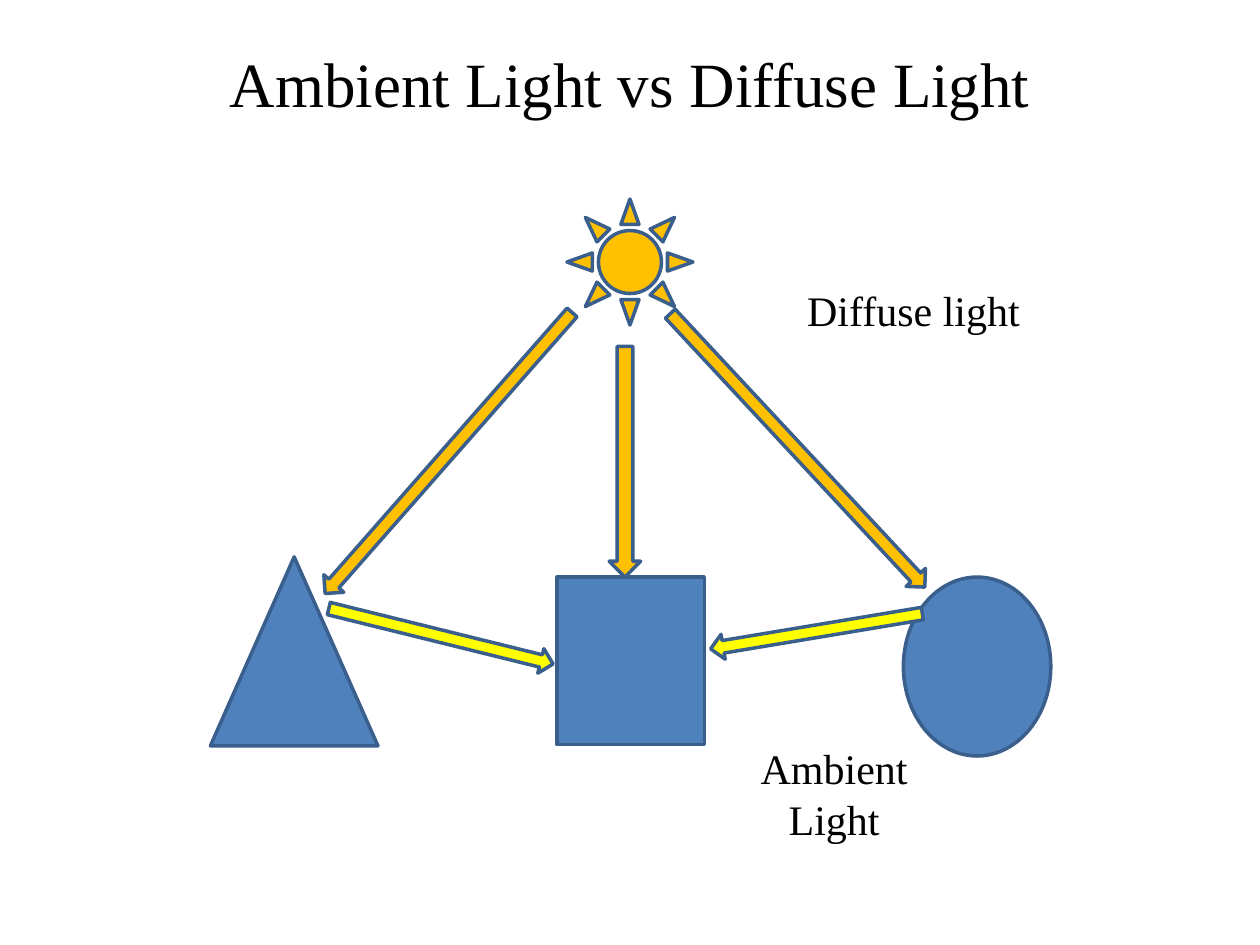
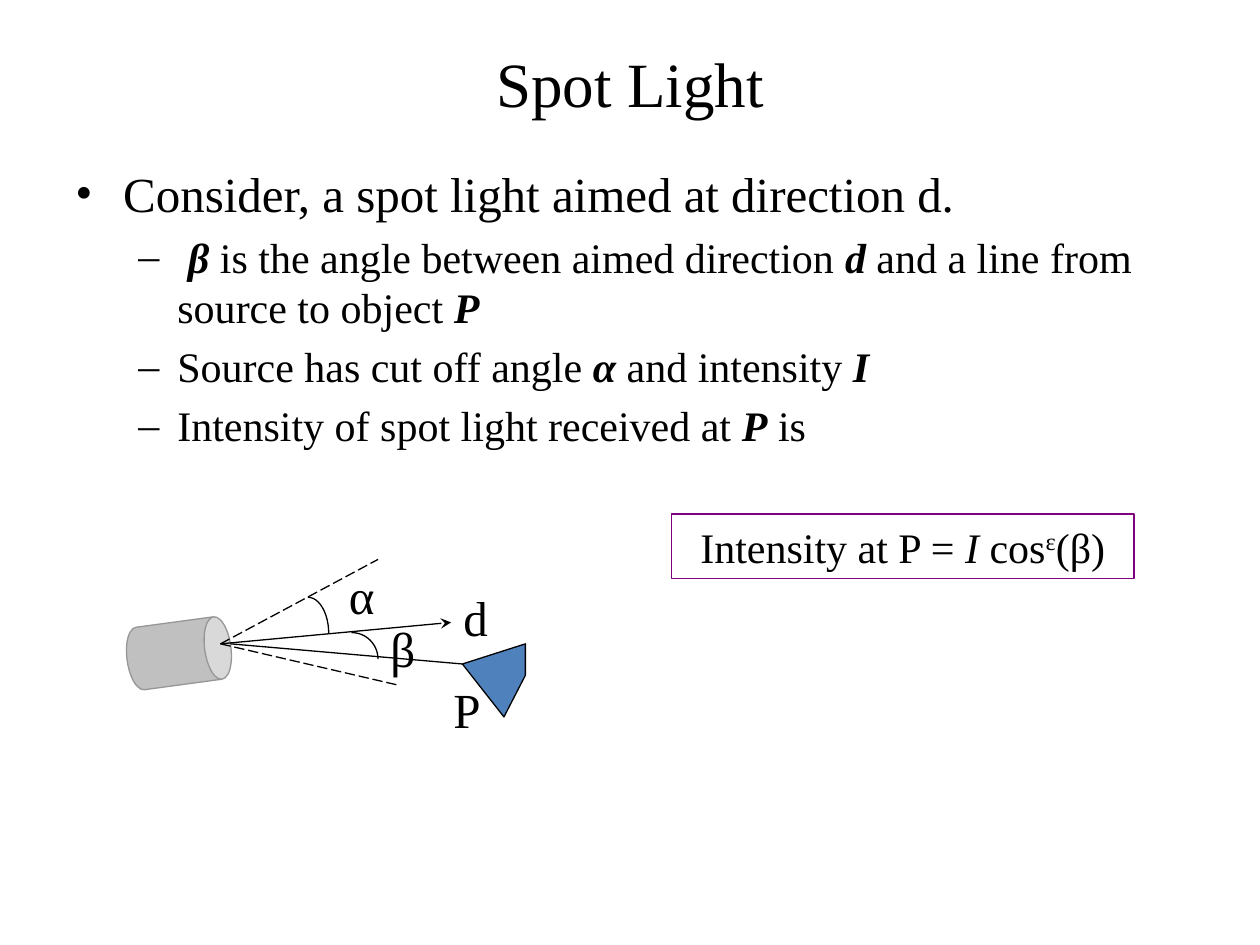
from math import atan2, degrees, hypot
from lxml.etree import SubElement
from pptx import Presentation
from pptx.dml.color import RGBColor
from pptx.enum.dml import MSO_LINE
from pptx.enum.shapes import MSO_CONNECTOR, MSO_SHAPE
from pptx.enum.text import MSO_ANCHOR, PP_ALIGN
from pptx.oxml.ns import qn
from pptx.util import Inches, Pt

BLACK = RGBColor(0x00, 0x00, 0x00)
BLUE = RGBColor(0x4F, 0x81, 0xBD)
NAVY = RGBColor(0x3A, 0x5F, 0x8C)
GOLD = RGBColor(0xFF, 0xC0, 0x00)
YELLOW = RGBColor(0xFF, 0xFF, 0x00)
SILVER = RGBColor(0xC0, 0xC0, 0xC0)
GRAY = RGBColor(0x96, 0x96, 0x96)
PURPLE = RGBColor(0x80, 0x00, 0x80)

FONT = "Times New Roman"
THIN, THICK = 0.75, 2
STRONG = {"bold": True, "italic": True}
ITALIC = {"italic": True}

# Slide 1: scene
SCENE = [  # preset, box, fill
    (MSO_SHAPE.RECTANGLE, (4.42, 4.58, 1.17, 1.33), BLUE),
    (MSO_SHAPE.ISOSCELES_TRIANGLE, (1.67, 4.42, 1.33, 1.5), BLUE),
    (MSO_SHAPE.OVAL, (7.17, 4.58, 1.17, 1.42), BLUE),
    (MSO_SHAPE.SUN, (4.5, 1.58, 1, 1), GOLD),
]
RAYS = [  # start, end, thickness, fill
    ((5.32, 2.49), (7.34, 4.66), 0.21, GOLD),
    ((4.54, 2.48), (2.58, 4.71), 0.21, GOLD),
    ((7.32, 4.87), (5.64, 5.15), 0.2, YELLOW),
    ((2.61, 4.83), (4.39, 5.27), 0.2, YELLOW),
    ((4.96, 2.75), (4.96, 4.58), 0.25, GOLD),
]
CAPTIONS = [
    ("Diffuse light", (6.25, 2.17, 2, 0.58)),
    ("Ambient Light", (5.83, 5.92, 1.58, 0.75)),
]

# Slide 2: bullets and spot light sketch
LEVELS = [  # bullet, size, left margin, hanging indent, space before
    ("•", 28, 0.38, 0.38, 0),
    ("–", 24, 0.81, 0.31, 5),
]
BULLETS = [
    (0, [("Consider, a spot light aimed at direction d.", {})]),
    (1, [(" ", {}), ("β", STRONG),
         (" is the angle between aimed direction ", {}), ("d", STRONG),
         (" and a line from source to object ", {}), ("P", STRONG)]),
    (1, [("Source has cut off angle ", {}), ("α", STRONG),
         (" and intensity", {}), (" I", STRONG)]),
    (1, [("Intensity of spot light received at ", {}), ("P", STRONG),
         (" is", {})]),
]
FORMULA = [("Intensity at P = ", {}), ("I", ITALIC), (" cos", {}),
           ("ε", {"raised": 30}), ("(β)", {})]
LAMP = (1.75, 5.11)
BEAMS = [  # start, end, dash, arrowhead
    (LAMP, (3.58, 4.94), None, True),
    (LAMP, (3.17, 5.44), MSO_LINE.LONG_DASH, False),
    (LAMP, (3, 4.44), MSO_LINE.LONG_DASH, False),
    ((1.83, 5.11), (3.67, 5.27), None, False),
]
TARGET = [(3.67, 5.27), (4.17, 5.11), (4.17, 5.36), (4, 5.69)]
MARKS = [("d", 3.58, 4.61), ("P", 3.5, 5.34), ("α", 2.67, 4.44), ("β", 3, 4.86)]
ARCS = [(2.28, 4.74, 0.33, 0.58), (2.58, 5.02, 0.42, 0.42)]


def place(box):
    return [Inches(v) for v in box]


def paint(shape, fill, line, width):
    shape.shadow.inherit = False
    if fill is None:
        shape.fill.background()
    else:
        shape.fill.solid()
        shape.fill.fore_color.rgb = fill
    shape.line.color.rgb = line
    shape.line.width = Pt(width)


def draw(slide, kind, box, fill, line=NAVY, width=THICK):
    shape = slide.shapes.add_shape(kind, *place(box))
    paint(shape, fill, line, width)
    return shape


def ray(slide, start, end, thick, fill):
    """Block arrow laid along the line from start to end."""
    (ax, ay), (bx, by) = start, end
    size = hypot(bx - ax, by - ay)
    box = ((ax + bx - size) / 2, (ay + by - thick) / 2, size, thick)
    arrow = draw(slide, MSO_SHAPE.RIGHT_ARROW, box, fill)
    arrow.rotation = degrees(atan2(by - ay, bx - ax))


def beam(slide, start, end, dash, head):
    line = slide.shapes.add_connector(MSO_CONNECTOR.STRAIGHT,
                                      *place(start + end))
    line.line.color.rgb = BLACK
    line.line.width = Pt(THIN)
    if dash:
        line.line.dash_style = dash
    if head:
        SubElement(line.line._get_or_add_ln(), qn("a:tailEnd"), type="stealth")
    SubElement(line._element.spPr, qn("a:effectLst"))


def write(par, runs, size):
    for text, style in runs:
        run = par.add_run()
        run.text = text
        run.font.color.rgb = BLACK
        form = {"name": FONT, "size": Pt(size), **style}
        raised = form.pop("raised", 0)
        for key, value in form.items():
            setattr(run.font, key, value)
        if raised:
            run.font._element.set("baseline", str(raised * 1000))


def fill_text(shape, runs, size, align=PP_ALIGN.CENTER,
              anchor=MSO_ANCHOR.MIDDLE, wrap=True):
    frame = shape.text_frame
    frame.word_wrap = wrap
    frame.vertical_anchor = anchor
    par = frame.paragraphs[0]
    par.alignment = align
    write(par, runs, size)


def label(slide, text, box, size, **form):
    fill_text(slide.shapes.add_textbox(*place(box)), [(text, {})], size, **form)


def new_slide(deck, title):
    slide = deck.slides.add_slide(deck.slide_layouts[6])
    label(slide, title, (0.5, 0.3, 9, 0.7), 36)
    return slide


def add_bullets(slide):
    frame = slide.shapes.add_textbox(*place((0.5, 1.25, 9.17, 5.53))).text_frame
    frame.word_wrap = True
    for i, (level, runs) in enumerate(BULLETS):
        par = frame.add_paragraph() if i else frame.paragraphs[0]
        mark, size, left, hang, before = LEVELS[level]
        par.level = level
        par.space_before = Pt(before)
        props = par._p.get_or_add_pPr()
        props.set("marL", str(Inches(left)))
        props.set("indent", str(-Inches(hang)))
        SubElement(props, qn("a:buFont"), typeface=FONT)
        SubElement(props, qn("a:buChar"), char=mark)
        write(par, runs, size)


def add_scene(deck):
    slide = new_slide(deck, "Ambient Light vs Diffuse Light")
    for item in SCENE:
        draw(slide, *item)
    for item in RAYS:
        ray(slide, *item)
    for text, box in CAPTIONS:
        label(slide, text, box, 24)


def add_spot(deck):
    slide = new_slide(deck, "Spot Light")
    add_bullets(slide)
    lamp = draw(slide, MSO_SHAPE.CAN, (1.17, 4.77, 0.5, 0.83),
                SILVER, GRAY, THIN)
    lamp.rotation = 82.3
    lamp.adjustments[0] = 0.417
    for item in BEAMS:
        beam(slide, *item)
    path = slide.shapes.build_freeform(*place(TARGET[0]), scale=1.0)
    path.add_line_segments([place(p) for p in TARGET[1:]], close=True)
    paint(path.convert_to_shape(), BLUE, BLACK, THIN)
    for text, left, top in MARKS:
        label(slide, text, (left, top, 0.33, 0.57), 28, align=PP_ALIGN.LEFT,
              wrap=False)
    box = draw(slide, MSO_SHAPE.RECTANGLE, (5.33, 4.08, 3.67, 0.51),
               None, PURPLE, THIN)
    fill_text(box, FORMULA, 24)
    for arc in ARCS:
        draw(slide, MSO_SHAPE.ARC, arc, None, BLACK, THIN)


def main():
    deck = Presentation()
    deck.slide_width, deck.slide_height = Inches(10), Inches(7.5)
    add_scene(deck)
    add_spot(deck)
    deck.save("out.pptx")


if __name__ == "__main__":
    main()
